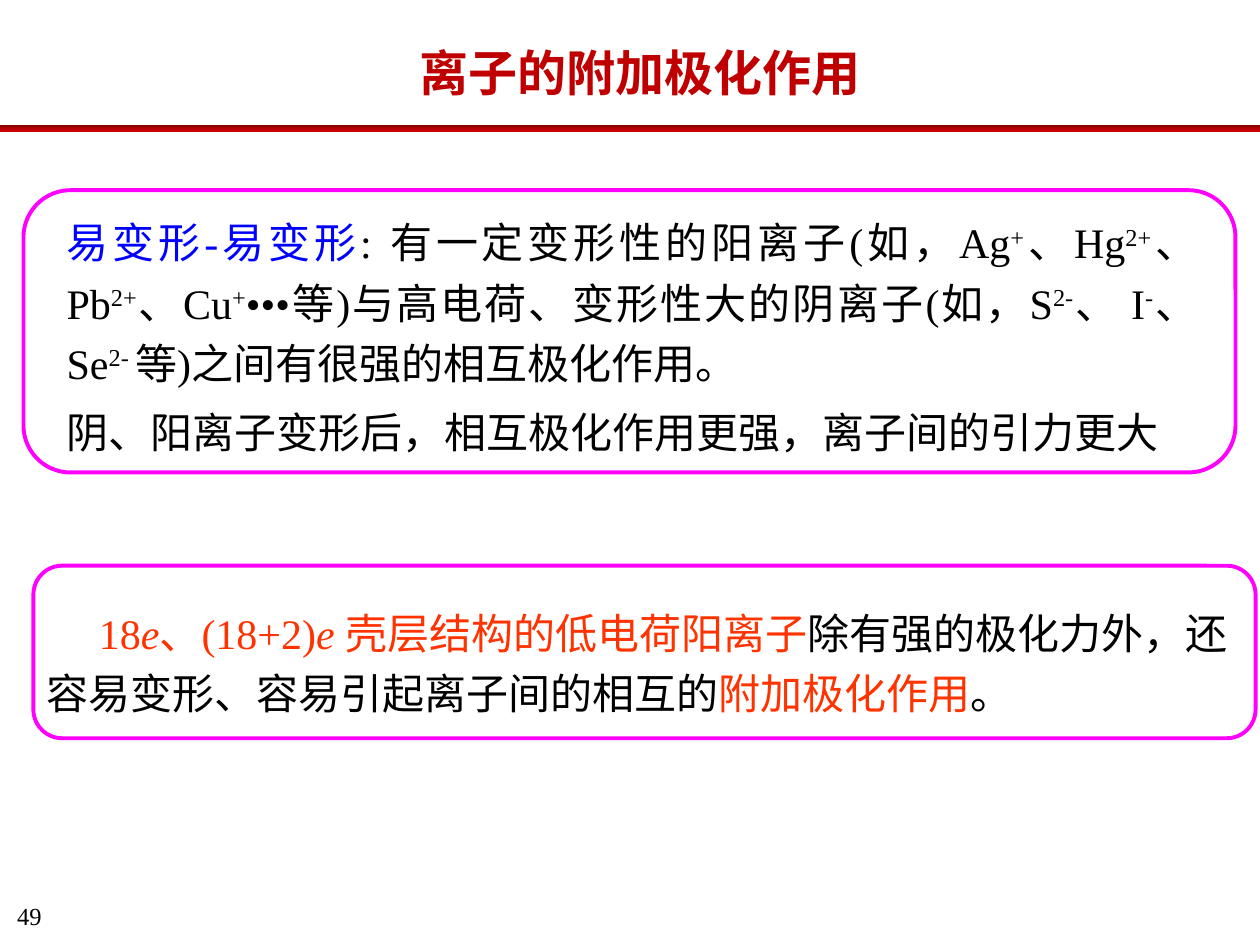
import copy
from dataclasses import dataclass

import pptx
import pptx.dml.color
import pptx.enum.shapes
import pptx.enum.text
import pptx.oxml
import pptx.oxml.ns
import pptx.util

Pt = pptx.util.Pt
Align = pptx.enum.text.PP_ALIGN
Shape = pptx.enum.shapes.MSO_SHAPE
LATIN, HAN = "Times New Roman", "Noto Sans CJK SC"
BLACK, BLUE, RED, ORANGE, PINK = "000000", "0000FF", "C00000", "FF3300", "FF00FF"


@dataclass
class Run:
    text: str
    color: str = BLACK
    bold: bool = False
    slant: bool = False
    sup: bool = False
    face: str = LATIN


@dataclass
class Box:
    left: float
    top: float
    width: float
    height: float

    def span(self):
        return [Pt(n) for n in (self.left, self.top, self.width, self.height)]


def rgb(code: str):
    return pptx.dml.color.RGBColor.from_string(code)


def add_text(slide, box: Box, paras: list[list[Run]], size: float, align,
             line: float = 1.0, indent: float = 0, tight: bool = False):
    frame = slide.shapes.add_textbox(*box.span()).text_frame
    frame.word_wrap = True
    if tight:
        frame.margin_left = frame.margin_right = Pt(0)
        frame.margin_top = frame.margin_bottom = Pt(0)
    else:
        frame.auto_size = pptx.enum.text.MSO_AUTO_SIZE.SHAPE_TO_FIT_TEXT
    for i, runs in enumerate(paras):
        para = frame.add_paragraph() if i else frame.paragraphs[0]
        para.alignment, para.line_spacing = align, line
        if i:
            para.space_before = Pt(5)
        if indent:
            para._p.get_or_add_pPr().set("indent", str(Pt(indent)))
        for item in runs:
            run = para.add_run()
            run.text = item.text
            font = run.font
            font.name, font.size = item.face, Pt(size)
            font.bold, font.italic = item.bold, item.slant
            font.color.rgb = rgb(item.color)
            props = run._r.get_or_add_rPr()
            east = pptx.oxml.parse_xml(
                f'<a:ea {pptx.oxml.ns.nsdecls("a")} typeface="{HAN}"/>')
            props.find(pptx.oxml.ns.qn("a:latin")).addnext(east)
            if item.sup:
                props.set("baseline", "30000")


def add_bar(slide, box: Box, stops: list[tuple[int, str]]):
    bar = slide.shapes.add_shape(Shape.RECTANGLE, *box.span())
    bar.shadow.inherit = False
    bar.line.fill.background()
    bar.fill.gradient()
    bar.fill.gradient_angle = 270
    marks = bar._element.spPr.find(".//" + pptx.oxml.ns.qn("a:gsLst"))
    while len(marks) < len(stops):
        marks.append(copy.deepcopy(marks[0]))
    for stop, (place, color) in zip(bar.fill.gradient_stops, stops):
        stop.position = place / 100
        stop.color.rgb = rgb(color)


def add_frame(slide, box: Box):
    frame = slide.shapes.add_shape(Shape.ROUNDED_RECTANGLE, *box.span())
    frame.shadow.inherit = False
    frame.fill.background()
    frame.line.color.rgb = rgb(PINK)
    frame.line.width = Pt(2.25)


def ions(*parts: str) -> list[Run]:
    """Runs that switch between plain text and superscript charges."""
    return [Run(part, sup=i % 2 == 1) for i, part in enumerate(parts)]


def main():
    deck = pptx.Presentation()
    deck.slide_width, deck.slide_height = Pt(720), Pt(540)
    slide = deck.slides.add_slide(deck.slide_layouts[6])

    # Page number, title and rule
    add_text(slide, Box(2.9, 514.8, 20.9, 21.6), [[Run("49")]], 14,
             Align.RIGHT, tight=True)
    add_text(slide, Box(139, 20.9, 453.6, 41),
             [[Run("离子的附加极化作用", RED, bold=True)]], 28, Align.CENTER)
    add_bar(slide, Box(0, 71.3, 720, 3.6),
            [(0, "790000"), (50, "AC0000"), (100, "CC0000")])

    # Mutual polarization
    mutual = [Run("易变形-易变形", BLUE)] + ions(
        ": 有一定变形性的阳离子(如，Ag", "+", "、Hg", "2+", "、Pb", "2+",
        "、Cu", "+", "•••等)与高电荷、变形性大的阴离子(如，S", "2-",
        "、 I", "-", "、 Se", "2- ", "等)之间有很强的相互极化作用。")
    effect = [Run("阴、阳离子变形后，相互极化作用更强，离子间的引力更大", face=HAN)]
    add_text(slide, Box(31, 114.5, 660.2, 149.8), [mutual, effect], 24,
             Align.JUSTIFY, line=1.2)

    # Shell structure
    shell = [
        Run("18", ORANGE), Run("e", ORANGE, slant=True),
        Run("、(18+2)", ORANGE), Run("e ", ORANGE, slant=True),
        Run("壳层结构的低电荷阳离子", ORANGE),
        Run("除有强的极化力外，还容易变形、容易引起离子间的相互的"),
        Run("附加极化作用", ORANGE), Run("。"),
    ]
    add_text(slide, Box(19.4, 337.7, 692.6, 74.2), [shell], 24,
             Align.LEFT, line=1.2, indent=30)

    # Frames around both passages
    for box in (Box(13.4, 108.7, 692.6, 161.3), Box(19.1, 323.3, 698.4, 98.6)):
        add_frame(slide, box)

    deck.save("out.pptx")


if __name__ == "__main__":
    main()
